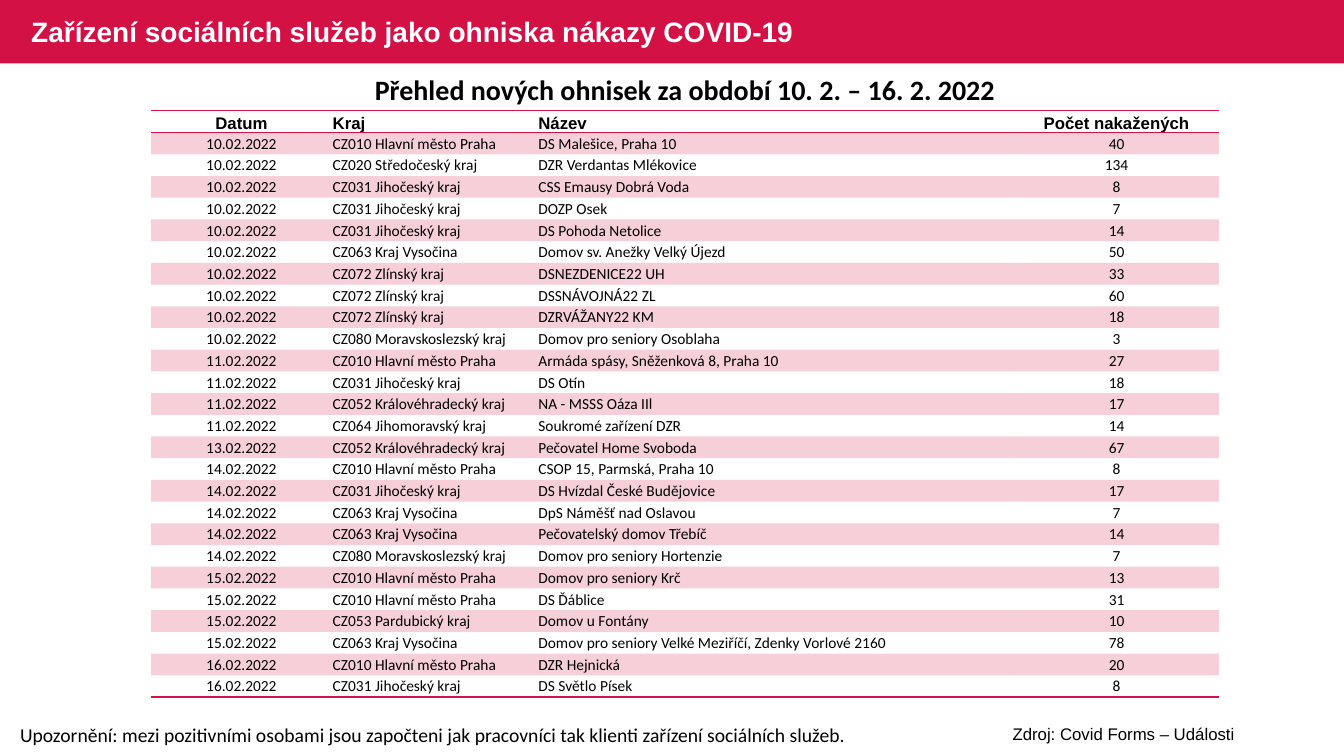
from dataclasses import dataclass

from lxml.etree import SubElement
from pptx import Presentation
from pptx.dml.color import RGBColor
from pptx.enum.shapes import MSO_SHAPE
from pptx.enum.text import MSO_ANCHOR as Anchor, MSO_AUTO_SIZE as AutoSize, PP_ALIGN as Align
from pptx.oxml.ns import qn
from pptx.util import Inches, Pt

COLOURS = {"crimson": "D31145", "black": "000000", "white": "FFFFFF"}
PLAIN_TABLE_STYLE = "{2D5ABB26-0587-4C30-8999-92F81FD0307C}"
TABLE_HEIGHT = 5.82


@dataclass(frozen=True)
class Style:
    size: int
    font: str
    bold: bool = False
    colour: str = "black"


@dataclass(frozen=True)
class Caption:
    text: str
    left: float
    top: float
    width: float
    height: float
    style: Style
    align: Align = Align.LEFT


@dataclass(frozen=True)
class Column:
    heading: str
    width: float
    align: Align


@dataclass(frozen=True)
class Outbreak:
    day: int
    region: str
    facility: str
    infected: int

    def texts(self) -> list[str]:
        return [f"{self.day}.02.2022", self.region, self.facility, str(self.infected)]


TITLE = Caption("Zařízení sociálních služeb jako ohniska nákazy COVID-19",
                0.21, 0.02, 8.13, 0.63, Style(20, "Arial", True, "white"))
CAPTIONS = [
    Caption("Upozornění: mezi pozitivními osobami jsou započteni jak pracovníci tak klienti "
            "zařízení sociálních služeb.", 0.1, 7.12, 8.52, 0.34, Style(14, "Calibri")),
    Caption("Přehled nových ohnisek za období 10. 2. – 16. 2. 2022",
            0.53, 0.67, 12.53, 0.44, Style(20, "Calibri", True), Align.CENTER),
    Caption("Zdroj: Covid Forms – Události", 9.06, 7.13, 4.17, 0.3,
            Style(12, "Arial"), Align.CENTER),
]
HEADING_STYLE = Style(12, "Arial", True)
BODY_STYLE = Style(11, "Calibri")
COLUMNS = [
    Column("Datum", 1.79, Align.CENTER),
    Column("Kraj", 2.04, Align.LEFT),
    Column("Název", 4.73, Align.LEFT),
    Column("Počet nakažených", 2.03, Align.CENTER),
]

PRAGUE = "CZ010 Hlavní město Praha"
SOUTH_BOHEMIA = "CZ031 Jihočeský kraj"
HRADEC = "CZ052 Královéhradecký kraj"
VYSOCINA = "CZ063 Kraj Vysočina"
ZLIN = "CZ072 Zlínský kraj"
MORAVIA_SILESIA = "CZ080 Moravskoslezský kraj"
OUTBREAKS = [
    Outbreak(10, PRAGUE, "DS Malešice, Praha 10", 40),
    Outbreak(10, "CZ020 Středočeský kraj", "DZR Verdantas Mlékovice", 134),
    Outbreak(10, SOUTH_BOHEMIA, "CSS Emausy Dobrá Voda", 8),
    Outbreak(10, SOUTH_BOHEMIA, "DOZP Osek", 7),
    Outbreak(10, SOUTH_BOHEMIA, "DS Pohoda Netolice", 14),
    Outbreak(10, VYSOCINA, "Domov sv. Anežky Velký Újezd", 50),
    Outbreak(10, ZLIN, "DSNEZDENICE22 UH", 33),
    Outbreak(10, ZLIN, "DSSNÁVOJNÁ22 ZL", 60),
    Outbreak(10, ZLIN, "DZRVÁŽANY22 KM", 18),
    Outbreak(10, MORAVIA_SILESIA, "Domov pro seniory Osoblaha", 3),
    Outbreak(11, PRAGUE, "Armáda spásy, Sněženková 8, Praha 10", 27),
    Outbreak(11, SOUTH_BOHEMIA, "DS Otín", 18),
    Outbreak(11, HRADEC, "NA - MSSS Oáza IIl", 17),
    Outbreak(11, "CZ064 Jihomoravský kraj", "Soukromé zařízení DZR", 14),
    Outbreak(13, HRADEC, "Pečovatel Home Svoboda", 67),
    Outbreak(14, PRAGUE, "CSOP 15, Parmská, Praha 10", 8),
    Outbreak(14, SOUTH_BOHEMIA, "DS Hvízdal České Budějovice", 17),
    Outbreak(14, VYSOCINA, "DpS Náměšť nad Oslavou", 7),
    Outbreak(14, VYSOCINA, "Pečovatelský domov Třebíč", 14),
    Outbreak(14, MORAVIA_SILESIA, "Domov pro seniory Hortenzie", 7),
    Outbreak(15, PRAGUE, "Domov pro seniory Krč", 13),
    Outbreak(15, PRAGUE, "DS Ďáblice", 31),
    Outbreak(15, "CZ053 Pardubický kraj", "Domov u Fontány", 10),
    Outbreak(15, VYSOCINA, "Domov pro seniory Velké Meziříčí, Zdenky Vorlové 2160", 78),
    Outbreak(16, PRAGUE, "DZR Hejnická", 20),
    Outbreak(16, SOUTH_BOHEMIA, "DS Světlo Písek", 8),
]


def rgb(name: str) -> RGBColor:
    return RGBColor.from_string(COLOURS[name])


def write(frame, text: str, style: Style, align: Align) -> None:
    para = frame.paragraphs[0]
    para.alignment = align
    span = para.add_run()
    span.text = text
    span.font.size = Pt(style.size)
    span.font.name = style.font
    span.font.bold = style.bold
    span.font.color.rgb = rgb(style.colour)


def add_title(slide) -> None:
    title = slide.shapes.title
    title.left, title.top = Inches(TITLE.left), Inches(TITLE.top)
    title.width, title.height = Inches(TITLE.width), Inches(TITLE.height)
    title.text_frame.vertical_anchor = Anchor.MIDDLE
    title.text_frame.auto_size = AutoSize.NONE
    write(title.text_frame, TITLE.text, TITLE.style, TITLE.align)
    title.text_frame.paragraphs[0].line_spacing = 0.9


def add_title_band(slide, width: int) -> None:
    """Draw the band and move it behind the title."""
    band = slide.shapes.add_shape(MSO_SHAPE.RECTANGLE, 0, 0, width, Inches(0.63))
    band.shadow.inherit = False
    band.fill.solid()
    band.fill.fore_color.rgb = rgb("crimson")
    band.line.fill.background()
    slide.shapes.title.element.addprevious(band.element)


def add_caption(slide, caption: Caption) -> None:
    box = slide.shapes.add_textbox(Inches(caption.left), Inches(caption.top),
                                   Inches(caption.width), Inches(caption.height))
    box.text_frame.word_wrap = True
    box.text_frame.auto_size = AutoSize.SHAPE_TO_FIT_TEXT
    write(box.text_frame, caption.text, caption.style, caption.align)


def add_border(cell, side: str) -> None:
    line = SubElement(cell._tc.get_or_add_tcPr(), qn(f"a:{side}"), w=str(Pt(1)))
    fill = SubElement(line, qn("a:solidFill"))
    SubElement(fill, qn("a:srgbClr"), val=COLOURS["crimson"])


def fill_cell(cell, shaded: bool) -> None:
    """Tint the cell with crimson at 20 % opacity, or leave it clear."""
    if not shaded:
        cell.fill.background()
        return
    cell.fill.solid()
    cell.fill.fore_color.rgb = rgb("crimson")
    colour = cell._tc.tcPr.find(f"{qn('a:solidFill')}/{qn('a:srgbClr')}")
    SubElement(colour, qn("a:alpha"), val="20000")


def add_outbreak_table(slide) -> None:
    rows = [[column.heading for column in COLUMNS]] + [item.texts() for item in OUTBREAKS]
    width = sum(column.width for column in COLUMNS)
    frame = slide.shapes.add_table(len(rows), len(COLUMNS), Inches(1.5), Inches(1.1),
                                   Inches(width), Inches(TABLE_HEIGHT))
    table = frame.table
    table.horz_banding = False
    table._tbl.tblPr.find(qn("a:tableStyleId")).text = PLAIN_TABLE_STYLE
    for index, column in enumerate(COLUMNS):
        table.columns[index].width = Inches(column.width)
    for number, texts in enumerate(rows):
        is_heading = number == 0
        table.rows[number].height = Inches(TABLE_HEIGHT / len(rows))
        for index, (column, text) in enumerate(zip(COLUMNS, texts)):
            cell = table.cell(number, index)
            cell.margin_left = cell.margin_right = Inches(0.01)
            cell.margin_top = Inches(0 if is_heading else 0.01)
            cell.margin_bottom = 0
            cell.vertical_anchor = Anchor.BOTTOM if is_heading else Anchor.MIDDLE
            write(cell.text_frame, text, HEADING_STYLE if is_heading else BODY_STYLE, column.align)
            if is_heading:
                add_border(cell, "lnT")
            if is_heading or number == len(OUTBREAKS):
                add_border(cell, "lnB")
            fill_cell(cell, shaded=number % 2 == 1)


def main() -> None:
    deck = Presentation()
    deck.slide_width, deck.slide_height = Inches(13.33), Inches(7.5)
    slide = deck.slides.add_slide(deck.slide_layouts[5])
    add_title(slide)
    add_title_band(slide, deck.slide_width)
    for caption in CAPTIONS:
        add_caption(slide, caption)
    add_outbreak_table(slide)
    deck.save("out.pptx")


if __name__ == "__main__":
    main()
